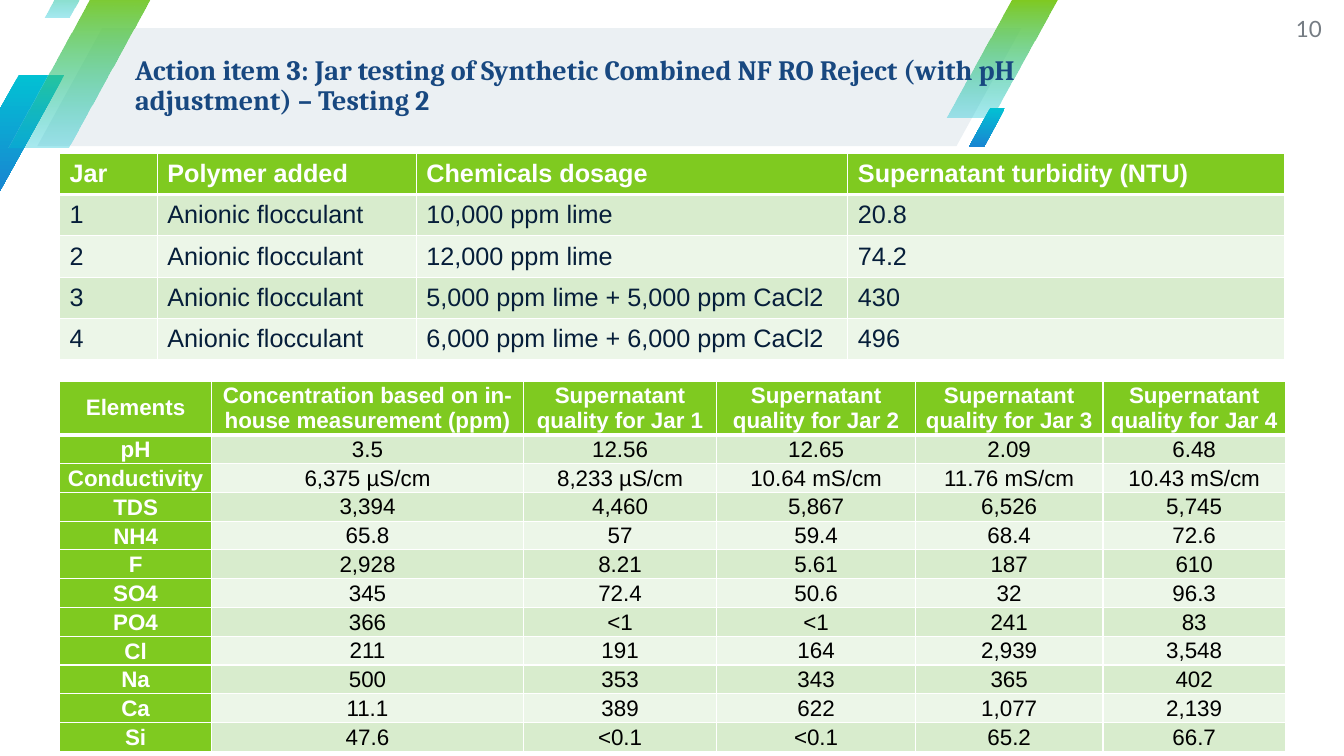
import pptx
import pptx.dml.color
import pptx.enum.shapes
import pptx.enum.text
import pptx.util
from lxml import etree
from pptx.oxml.ns import qn
from pptx.util import Inches

ALIGN = pptx.enum.text.PP_ALIGN
MIDDLE = pptx.enum.text.MSO_ANCHOR.MIDDLE
PARALLELOGRAM = pptx.enum.shapes.MSO_SHAPE.PARALLELOGRAM
COLORS = {
    "white": "FFFFFF", "black": "000000", "panel": "EBF0F3",
    "green": "7FCA20", "cyan": "02C1D3", "blue": "1985D2",
    "band_dark": "D8ECCD", "band_light": "ECF6E8",
    "title": "184880", "navy": "061E3A", "gray": "757C83",
}
RGB = {name: pptx.dml.color.RGBColor.from_string(c) for name, c in COLORS.items()}


def write(tf, text, size=16, color="black", font="Arial", bold=False,
          align=ALIGN.LEFT, line=None, after=None):
    p = tf.paragraphs[0]
    p.alignment = align
    p.line_spacing = line
    if after is not None:
        p.space_after = pptx.util.Pt(after)
    r = p.add_run()
    r.text = text
    r.font.size = pptx.util.Pt(size)
    r.font.name = font
    r.font.bold = bold
    r.font.color.rgb = RGB[color]


def format_cell(cell, fill, margins, top=1, bottom=1):
    """Set fill, margins (left, top, right, bottom) and white borders in points."""
    cell.vertical_anchor = MIDDLE
    (cell.margin_left, cell.margin_top,
     cell.margin_right, cell.margin_bottom) = [Inches(m) for m in margins]
    tcPr = cell._tc.get_or_add_tcPr()
    for side, width in [("L", 1), ("R", 1), ("T", top), ("B", bottom)]:
        ln = etree.SubElement(tcPr, qn("a:ln" + side), w=str(pptx.util.Pt(width)))
        solid = etree.SubElement(ln, qn("a:solidFill"))
        etree.SubElement(solid, qn("a:srgbClr"), val=COLORS["white"])
    cell.fill.solid()
    cell.fill.fore_color.rgb = RGB[fill]


prs = pptx.Presentation()
prs.slide_width = Inches(13.33)
prs.slide_height = Inches(7.5)
s = prs.slides.add_slide(prs.slide_layouts[6])

# Title banner: left, top, width, height, slant, fill colours, end opacity in percent
banner = [
    (0.37, 0.28, 9.76, 1.17, 0.55, ["panel"], 100),
    (-0.46, 0.74, 1.1, 1.17, 0.59, ["cyan", "blue"], 100),
    (9.39, 0, 1.1, 1.17, 0.59, ["green", "cyan"], 34),
    (0.08, -0.1, 1.46, 1.56, 0.59, ["green", "cyan"], 34),
    (0.44, -0.48, 0.61, 0.65, 0.59, ["green", "cyan"], 34),
    (9.61, 1.07, 0.36, 0.39, 0.59, ["cyan", "blue"], 100),
]
for left, top, width, height, slant, colors, opacity in banner:
    sp = s.shapes.add_shape(PARALLELOGRAM, Inches(left), Inches(top),
                            Inches(width), Inches(height))
    sp.adjustments[0] = slant
    sp.shadow.inherit = False
    sp.line.fill.background()
    if len(colors) == 1:
        sp.fill.solid()
        sp.fill.fore_color.rgb = RGB[colors[0]]
        continue
    sp.fill.gradient()
    sp.fill.gradient_angle = 270
    for stop, color in zip(sp.fill.gradient_stops, colors):
        stop.color.rgb = RGB[color]
    if opacity < 100:
        last_color = sp._element.spPr.findall(".//" + qn("a:srgbClr"))[-1]
        etree.SubElement(last_color, qn("a:alpha"), val=str(opacity * 1000))

texts = [
    (1.34, 0.26, 8.79, 1.19,
     "Action item 3: Jar testing of Synthetic Combined NF RO Reject "
     "(with pH adjustment) – Testing 2",
     dict(size=20, font="Cambria", color="title", bold=True, line=0.9)),
    (12.48, 0, 0.63, 0.57, "10",
     dict(font="Lato", color="gray", align=ALIGN.RIGHT)),
]
for left, top, width, height, text, style in texts:
    tf = s.shapes.add_textbox(Inches(left), Inches(top),
                              Inches(width), Inches(height)).text_frame
    tf.word_wrap = True
    tf.vertical_anchor = MIDDLE
    tf.margin_left = tf.margin_top = tf.margin_right = tf.margin_bottom = 0
    write(tf, text, **style)

polymer = "Anionic flocculant"
jar_rows = [
    ["Jar", "Polymer added", "Chemicals dosage", "Supernatant turbidity (NTU)"],
    ["1", polymer, "10,000 ppm lime", "20.8"],
    ["2", polymer, "12,000 ppm lime", "74.2"],
    ["3", polymer, "5,000 ppm lime + 5,000 ppm CaCl2", "430"],
    ["4", polymer, "6,000 ppm lime + 6,000 ppm CaCl2", "496"],
]
quality_rows = [
    ["Elements", "Concentration based on in-house measurement (ppm)"]
    + [f"Supernatant quality for Jar {jar}" for jar in range(1, 5)],
    ["pH", "3.5", "12.56", "12.65", "2.09", "6.48"],
    ["Conductivity", "6,375 µS/cm", "8,233 µS/cm", "10.64 mS/cm", "11.76 mS/cm",
     "10.43 mS/cm"],
    ["TDS", "3,394", "4,460", "5,867", "6,526", "5,745"],
    ["NH4", "65.8", "57", "59.4", "68.4", "72.6"],
    ["F", "2,928", "8.21", "5.61", "187", "610"],
    ["SO4", "345", "72.4", "50.6", "32", "96.3"],
    ["PO4", "366", "<1", "<1", "241", "83"],
    ["Cl", "211", "191", "164", "2,939", "3,548"],
    ["Na", "500", "353", "343", "365", "402"],
    ["Ca", "11.1", "389", "622", "1,077", "2,139"],
    ["Si", "47.6", "<0.1", "<0.1", "65.2", "66.7"],
]
label_margins = (0.03, 0, 0.03, 0)
value_margins = (0.01, 0.01, 0.01, 0)
jar_margins = (0.1, 0.05, 0.1, 0.05)

# Rows, top, column widths, header height, row height, labelled first column,
# label margins, value margins, value colour, text format
tables = [
    (quality_rows, 3.78, [1.51, 3.09, 1.92, 1.97, 1.86, 1.81], 0.5, 0.26, True,
     label_margins, value_margins, "black", dict(size=16, align=ALIGN.CENTER)),
    (jar_rows, 1.52, [0.97, 2.57, 4.28, 4.33], 0.41, 0.41, False,
     jar_margins, jar_margins, "navy", dict(size=18)),
]
for (rows, top, widths, header_height, row_height, has_labels,
     head_margins, body_margins, body_color, style) in tables:
    height = header_height + row_height * (len(rows) - 1)
    table = s.shapes.add_table(len(rows), len(widths), Inches(0.59), Inches(top),
                               Inches(sum(widths)), Inches(height)).table
    table.first_col = has_labels
    for column, width in zip(table.columns, widths):
        column.width = Inches(width)
    for i, row in enumerate(rows):
        table.rows[i].height = Inches(row_height if i else header_height)
        for j, text in enumerate(row):
            cell = table.cell(i, j)
            label = i == 0 or (has_labels and j == 0)
            band = "band_dark" if i % 2 else "band_light"
            format_cell(cell, "green" if label else band,
                        head_margins if label else body_margins,
                        top=3 if i == 1 else 1, bottom=3 if i == 0 else 1)
            spacing = dict(line=1.07, after=8) if label and i else {}
            write(cell.text_frame, text, color="white" if label else body_color,
                  bold=label, **style, **spacing)

prs.save("out.pptx")
